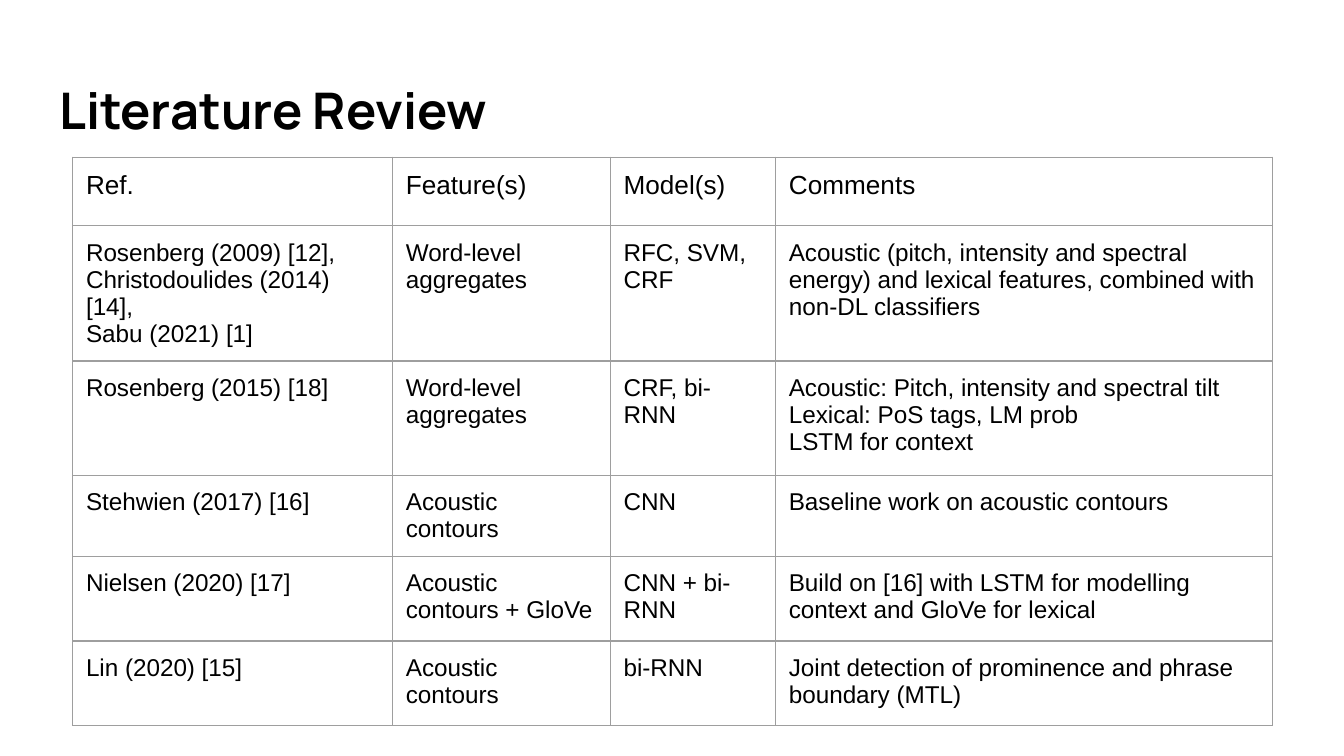
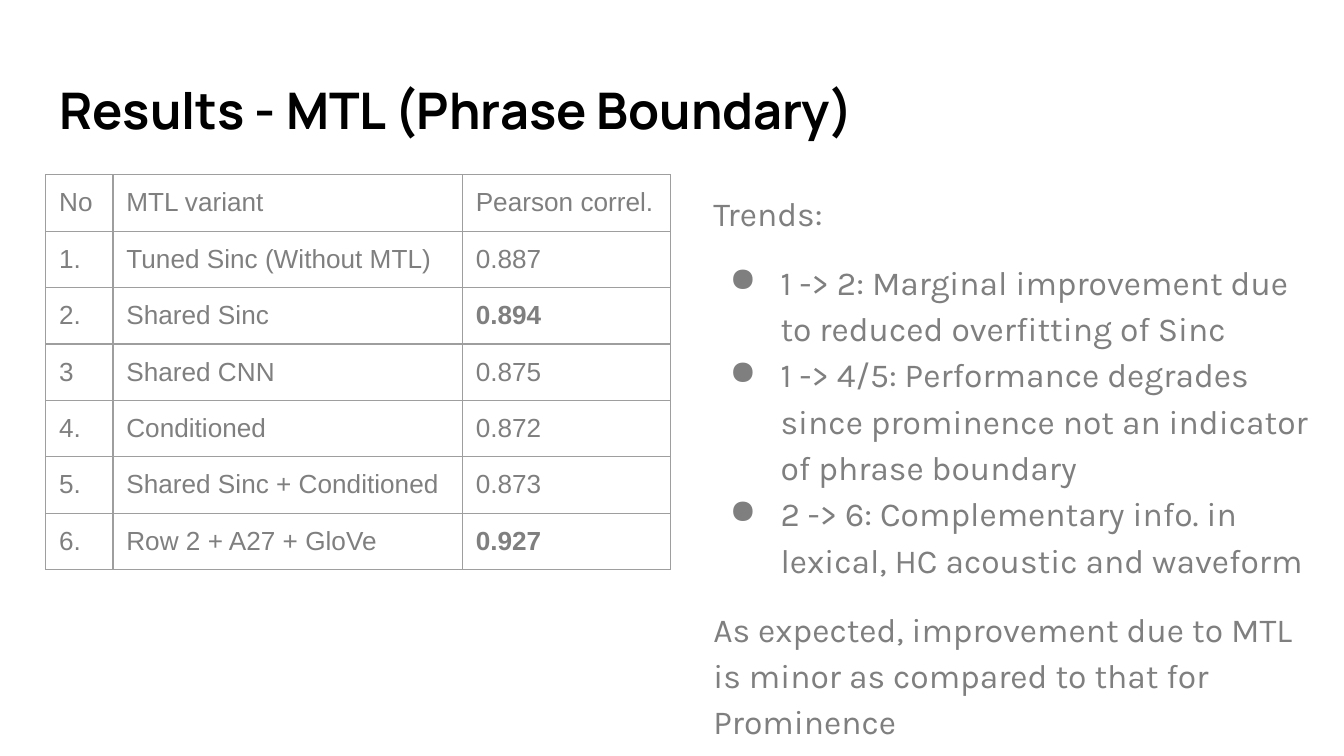
from dataclasses import dataclass

from lxml.etree import SubElement
from pptx import Presentation
from pptx.dml.color import RGBColor as Rgb
from pptx.enum.text import MSO_ANCHOR as Anchor, MSO_AUTO_SIZE as AutoSize, PP_ALIGN as Align
from pptx.oxml import parse_xml
from pptx.oxml.ns import nsdecls, qn
from pptx.util import Inches, Pt


@dataclass(frozen=True)
class Theme:
    black: str = "000000"
    grey: str = "7F7F7F"
    rule: str = "9E9E9E"
    rule_width: float = 0.75
    title_font: str = "Manrope"
    table_font: str = "Arial"
    body_font: str = "Karla"
    title_size: int = 27
    body_size: int = 18
    header_size: int = 14
    dense_size: int = 13


@dataclass(frozen=True)
class Box:
    col: float
    row: float
    cols: float
    rows: float

    def place(self):
        return [grid(v) for v in (self.col, self.row, self.cols, self.rows)]


THEME = Theme()
COLUMNS, ROWS = 100, 56.25
CELL = Inches(10) / COLUMNS
PADDING = 1
TITLE_BOX = Box(3.4, 4.9, 93.2, 6.8)

LITERATURE = [
    ("Ref.", "Feature(s)", "Model(s)", "Comments"),
    ("Rosenberg (2009) [12], Christodoulides (2014) [14],\nSabu (2021) [1]",
     "Word-level aggregates", "RFC, SVM, CRF",
     "Acoustic (pitch, intensity and spectral energy) and lexical features, "
     "combined with non-DL classifiers"),
    ("Rosenberg (2015) [18]", "Word-level aggregates", "CRF, bi-RNN",
     "Acoustic: Pitch, intensity and spectral tilt\nLexical: PoS tags, LM prob\nLSTM for context"),
    ("Stehwien (2017) [16]", "Acoustic contours", "CNN", "Baseline work on acoustic contours"),
    ("Nielsen (2020) [17]", "Acoustic contours + GloVe", "CNN + bi-RNN",
     "Build on [16] with LSTM for modelling context and GloVe for lexical"),
    ("Lin (2020) [15]", "Acoustic contours", "bi-RNN",
     "Joint detection of prominence and phrase boundary (MTL)"),
]
RESULTS = [
    ("No", "MTL variant", "Pearson correl."),
    ("1.", "Tuned Sinc (Without MTL)", "0.887"),
    ("2.", "Shared Sinc", "0.894"),
    ("3", "Shared CNN", "0.875"),
    ("4.", "Conditioned", "0.872"),
    ("5.", "Shared Sinc + Conditioned", "0.873"),
    ("6.", "Row 2 + A27 + GloVe", "0.927"),
]
BEST_SCORES = {"0.894", "0.927"}
TRENDS = [
    "1 -> 2: Marginal improvement due to reduced overfitting of Sinc",
    "1 -> 4/5: Performance degrades since prominence not an indicator of phrase boundary",
    "2 -> 6: Complementary info. in lexical, HC acoustic and waveform",
]
CONCLUSION = "As expected, improvement due to MTL is minor as compared to that for Prominence"


def grid(units):
    return round(units * CELL)


def style(paragraph, face, size, color, bold=False):
    font = paragraph.font
    font.name, font.size, font.bold = face, Pt(size), bold
    font.color.rgb = Rgb.from_string(color)


def pad(target):
    target.margin_left = target.margin_right = grid(PADDING)
    target.margin_top = target.margin_bottom = grid(PADDING)


def add_titled_slide(deck, heading):
    slide = deck.slides.add_slide(deck.slide_layouts[5])
    title = slide.shapes.title
    title.left, title.top, title.width, title.height = TITLE_BOX.place()
    frame = title.text_frame
    frame.text = heading
    frame.word_wrap, frame.auto_size = True, AutoSize.NONE
    frame.vertical_anchor = Anchor.TOP
    pad(frame)
    paragraph = frame.paragraphs[0]
    paragraph.alignment = Align.LEFT
    style(paragraph, THEME.title_font, THEME.title_size, THEME.black, True)
    return slide


def add_borders(cell):
    properties = cell._tc.get_or_add_tcPr()
    for position, side in enumerate("LRTB"):
        properties.insert(position, parse_xml(
            f'<a:ln{side} {nsdecls("a")} w="{Pt(THEME.rule_width)}"><a:solidFill>'
            f'<a:srgbClr val="{THEME.rule}"/></a:solidFill></a:ln{side}>'))


def add_ruled_table(slide, col, row, widths, heights, entries, color, body_size, emphasized=()):
    box = Box(col, row, sum(widths), sum(heights))
    table = slide.shapes.add_table(len(heights), len(widths), *box.place()).table
    table.first_row = table.horz_banding = False
    for column, width in zip(table.columns, widths):
        column.width = grid(width)
    for index, (line, height, texts) in enumerate(zip(table.rows, heights, entries)):
        line.height = grid(height)
        size = body_size if index else THEME.header_size
        for cell, text in zip(line.cells, texts):
            cell.text = text
            cell.fill.background()
            pad(cell)
            add_borders(cell)
            for paragraph in cell.text_frame.paragraphs:
                style(paragraph, THEME.table_font, size, color, text in emphasized)


def add_bullet(paragraph):
    properties = paragraph._p.get_or_add_pPr()
    properties.set("marL", str(grid(5)))
    properties.set("indent", str(grid(-3.8)))
    color = SubElement(properties, qn("a:buClr"))
    SubElement(color, qn("a:srgbClr"), val=THEME.grey)
    SubElement(properties, qn("a:buChar"), char="●")


def add_trends(slide, box):
    frame = slide.shapes.add_textbox(*box.place()).text_frame
    frame.word_wrap = True
    pad(frame)
    frame.text = "\n".join(["Trends:", *TRENDS, CONCLUSION])
    intro, *trends, conclusion = frame.paragraphs
    for paragraph in frame.paragraphs:
        paragraph.line_spacing = 1.15
    trends[0].space_before = Pt(12)
    conclusion.space_before = conclusion.space_after = Pt(12)
    for trend in trends:
        add_bullet(trend)
    for paragraph in frame.paragraphs:
        style(paragraph, THEME.body_font, THEME.body_size, THEME.grey)


def build_literature(deck):
    slide = add_titled_slide(deck, "Literature Review")
    add_ruled_table(slide, 5.4, 11.7, (23.8, 16.2, 12.3, 37), (5.1, 8.5, 8.5, 4.9, 6.3, 6.3),
                    LITERATURE, THEME.black, THEME.dense_size)


def build_results(deck):
    slide = add_titled_slide(deck, "Results - MTL (Phrase Boundary)")
    add_ruled_table(slide, 3.4, 13, (5, 26, 15.5), [4.2] * len(RESULTS),
                    RESULTS, THEME.grey, THEME.header_size, BEST_SCORES)
    add_trends(slide, Box(52.1, 12.9, 46.6, 42.2))


def main():
    deck = Presentation()
    deck.slide_width, deck.slide_height = grid(COLUMNS), grid(ROWS)
    build_literature(deck)
    build_results(deck)
    deck.save("out.pptx")


if __name__ == "__main__":
    main()
